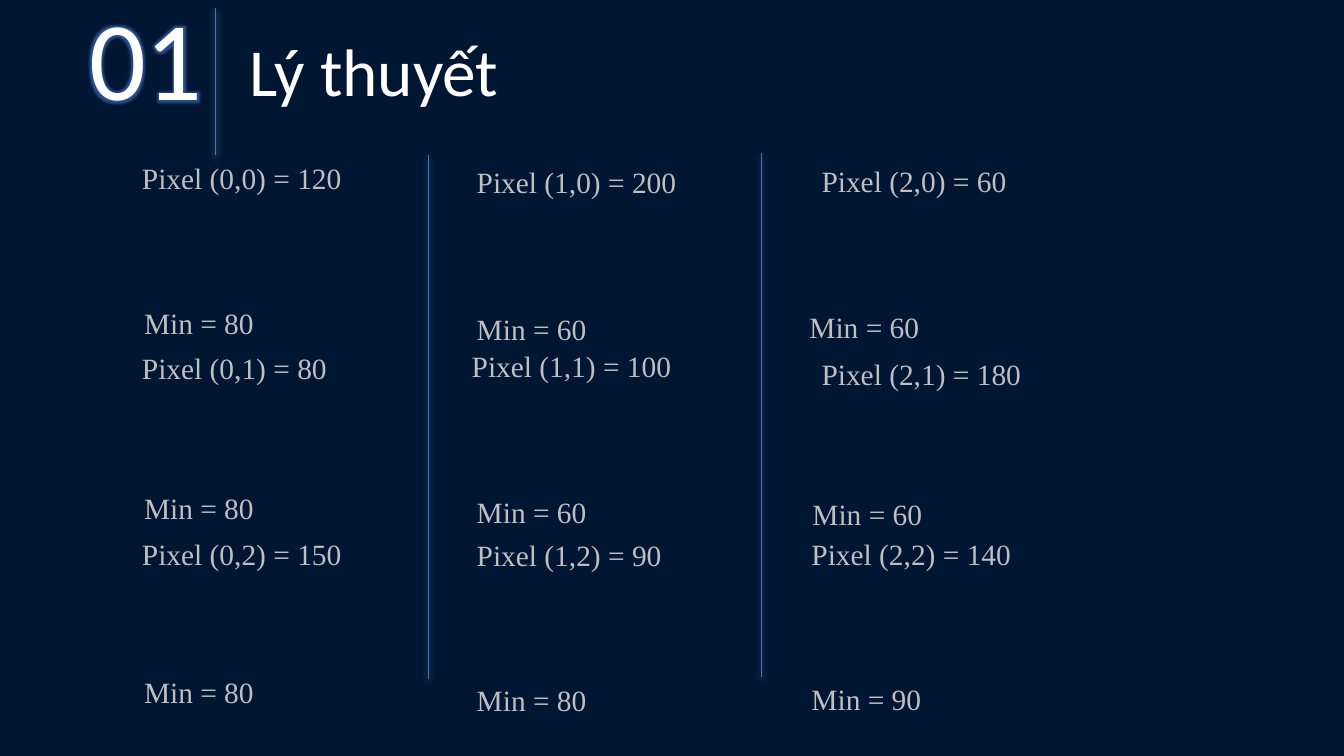
from dataclasses import dataclass

from lxml.etree import SubElement
from pptx import Presentation
from pptx.dml.color import RGBColor
from pptx.enum.shapes import MSO_CONNECTOR
from pptx.enum.text import MSO_ANCHOR, MSO_AUTO_SIZE, PP_ALIGN
from pptx.oxml import parse_xml
from pptx.oxml.ns import nsdecls, qn
from pptx.util import Inches, Pt


@dataclass(frozen=True)
class Theme:
    background: str = "001633"
    heading: str = "FFFFFF"
    body: str = "BFBFBF"
    accent: str = "4472C4"
    heading_font: str = "Calibri"
    body_font: str = "Times New Roman"
    number_size: int = 80
    title_size: int = 48
    body_size: int = 21
    line_width: float = 0.75


THEME = Theme()
PIXEL_WIDTH, MINIMUM_WIDTH, LABEL_HEIGHT = 2.5, 1.35, 0.45

# Each column: (text, left, top), pixel values and neighbourhood minima in turn
COLUMNS = [
    [("Pixel (0,0) = 120", 1.31, 1.54), ("Min = 80", 1.33, 2.98),
     ("Pixel (0,1) = 80", 1.31, 3.42), ("Min = 80", 1.33, 4.81),
     ("Pixel (0,2) = 150", 1.31, 5.27), ("Min = 80", 1.33, 6.64)],
    [("Pixel (1,0) = 200", 4.63, 1.58), ("Min = 60", 4.63, 3.04),
     ("Pixel (1,1) = 100", 4.58, 3.4), ("Min = 60", 4.63, 4.85),
     ("Pixel (1,2) = 90", 4.63, 5.28), ("Min = 80", 4.63, 6.72)],
    [("Pixel (2,0) = 60", 8.05, 1.57), ("Min = 60", 7.93, 3.02),
     ("Pixel (2,1) = 180", 8.05, 3.48), ("Min = 60", 7.96, 4.87),
     ("Pixel (2,2) = 140", 7.95, 5.27), ("Min = 90", 7.95, 6.71)],
]

# Vertical rules: (x, top, bottom)
RULES = [(2.14, 0.08, 1.54), (4.25, 1.54, 6.74), (7.55, 1.52, 6.72)]


def apply(target, values):
    for name, value in values.items():
        setattr(target, name, value)


def write(box, text, font, size, color, frame_format, para_format):
    apply(box.text_frame, {"word_wrap": True, **frame_format})
    para = box.text_frame.paragraphs[0]
    apply(para, para_format)
    span = para.add_run()
    span.text = text
    apply(span.font, {"name": font, "size": Pt(size)})
    span.font.color.rgb = RGBColor.from_string(color)
    return span


def write_heading(box, text, size, alignment):
    inset = Inches(0.13)
    frame_format = {
        "auto_size": MSO_AUTO_SIZE.NONE,
        "vertical_anchor": MSO_ANCHOR.MIDDLE,
        "margin_left": inset, "margin_right": inset,
        "margin_top": inset, "margin_bottom": inset,
    }
    para_format = {"alignment": alignment, "line_spacing": 0.9}
    return write(box, text, THEME.heading_font, size, THEME.heading,
                 frame_format, para_format)


def add_title(page, text):
    box = page.shapes.title
    apply(box, {"left": Inches(2.34), "top": Inches(0.24),
                "width": Inches(4.47), "height": Inches(1)})
    write_heading(box, text, THEME.title_size, PP_ALIGN.LEFT)


def add_number(page, text):
    box = page.shapes.add_textbox(Inches(0.54), Inches(0.23),
                                  Inches(1.6), Inches(0.81))
    span = write_heading(box, text, THEME.number_size, PP_ALIGN.RIGHT)
    # Soft glow, placed right after the text fill
    glow = parse_xml(
        f'<a:effectLst {nsdecls("a")}><a:glow rad="{Pt(5)}">'
        f'<a:srgbClr val="{THEME.accent}"><a:alpha val="60000"/></a:srgbClr>'
        '</a:glow></a:effectLst>')
    span.font.fill  # the fill is already set by the font colour
    span.font._element.find(qn("a:solidFill")).addnext(glow)


def add_rule(page, x, top, bottom):
    rule = page.shapes.add_connector(MSO_CONNECTOR.STRAIGHT, Inches(x),
                                     Inches(top), Inches(x), Inches(bottom))
    rule.line.color.rgb = RGBColor.from_string(THEME.accent)
    rule.line.width = Pt(THEME.line_width)
    # Pale shadow just below the line
    effects = SubElement(rule._element.spPr, qn("a:effectLst"))
    shadow = SubElement(effects, qn("a:outerShdw"), blurRad=str(Pt(4.5)),
                        dist=str(Pt(1.5)), dir="5400000", rotWithShape="0")
    color = SubElement(shadow, qn("a:srgbClr"), val=THEME.heading)
    SubElement(color, qn("a:alpha"), val="50000")


def add_label(page, text, left, top):
    width = PIXEL_WIDTH if text.startswith("Pixel") else MINIMUM_WIDTH
    box = page.shapes.add_textbox(Inches(left), Inches(top),
                                  Inches(width), Inches(LABEL_HEIGHT))
    write(box, text, THEME.body_font, THEME.body_size, THEME.body,
          {"auto_size": MSO_AUTO_SIZE.SHAPE_TO_FIT_TEXT}, {})


def main():
    deck = Presentation()
    apply(deck, {"slide_width": Inches(13.33), "slide_height": Inches(7.5)})
    page = deck.slides.add_slide(deck.slide_layouts.get_by_name("Title Only"))
    fill = page.background.fill
    fill.solid()
    fill.fore_color.rgb = RGBColor.from_string(THEME.background)

    # Heading
    add_title(page, "Lý thuyết")
    add_number(page, "01")

    # Dividers and pixel columns
    for rule in RULES:
        add_rule(page, *rule)
    for column in COLUMNS:
        for label in column:
            add_label(page, *label)

    deck.save("out.pptx")


if __name__ == "__main__":
    main()
